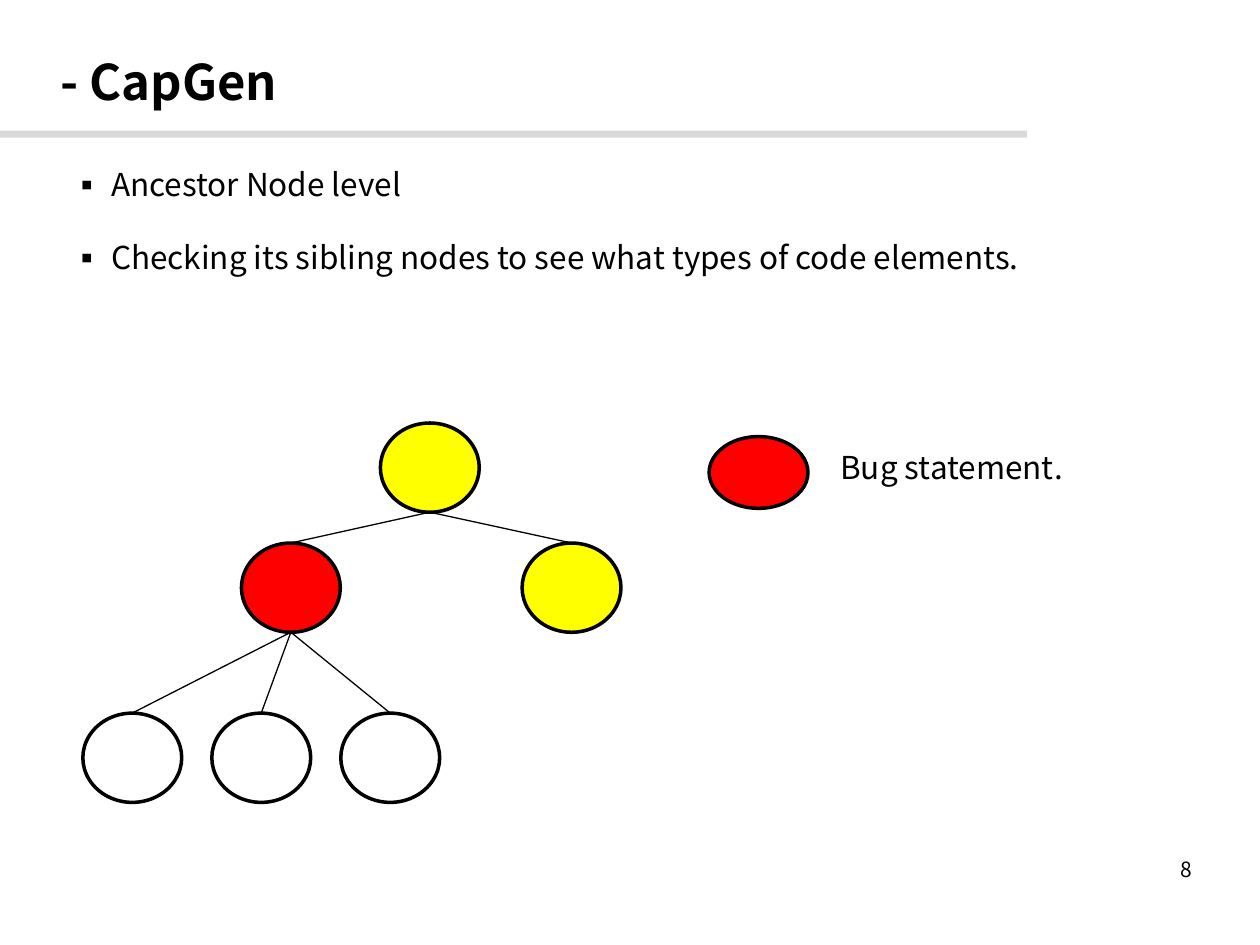
from pptx import Presentation
from pptx.dml.color import RGBColor
from pptx.enum.shapes import MSO_CONNECTOR, MSO_SHAPE
from pptx.enum.text import MSO_ANCHOR, PP_ALIGN
from pptx.util import Pt
from lxml.etree import SubElement
from pptx.oxml.ns import qn

FONT = "Noto Sans CJK KR"
COLORS = {"ink": "000000", "rule": "D9D9D9", "bug": "FF0000",
          "checked": "FFFF00", "plain": "FFFFFF"}

TITLE = "- CapGen"
POINTS = ["Ancestor Node level",
          "Checking its sibling nodes to see what types of code elements."]
LEGEND = "Bug statement."
PAGE = "8"

NODE_W, NODE_H = 56.5, 51
LEVEL_TOPS = [241.7, 310.3, 407.5]
LEAF_START, LEAF_STEP = 75.6, 73.7
NODES = {
    "ancestor": (245.6, 0, "checked"),
    "bug": (166.2, 1, "bug"),
    "sibling": (326.6, 1, "checked"),
}
LEAVES = ["leaf 1", "leaf 2", "leaf 3"]
for i, leaf in enumerate(LEAVES):
    NODES[leaf] = (LEAF_START + i * LEAF_STEP, 2, "plain")
EDGES = [("ancestor", "bug"), ("ancestor", "sibling")]
EDGES += [("bug", leaf) for leaf in LEAVES]


def rgb(name):
    return RGBColor.from_string(COLORS[name])


def place(shape, left, top, width, height):
    shape.left, shape.top = Pt(left), Pt(top)
    shape.width, shape.height = Pt(width), Pt(height)


def format_text(frame, size, align=PP_ALIGN.LEFT, anchor=MSO_ANCHOR.TOP, bold=False):
    frame.word_wrap = True
    frame.vertical_anchor = anchor
    frame.margin_left = frame.margin_right = Pt(3.6)
    frame.margin_top = frame.margin_bottom = Pt(3.6)
    for paragraph in frame.paragraphs:
        paragraph.alignment = align
        for run in paragraph.runs:
            run.font.name = FONT
            run.font.size = Pt(size)
            run.font.bold = bold
            run.font.color.rgb = rgb("ink")


def add_text(slide, box, text, size, **style):
    frame = slide.shapes.add_textbox(*map(Pt, box)).text_frame
    frame.text = text
    format_text(frame, size, **style)
    return frame


def add_filled(slide, kind, box, color, line_width=None):
    shape = slide.shapes.add_shape(kind, *map(Pt, box))
    shape.shadow.inherit = False
    shape.fill.solid()
    shape.fill.fore_color.rgb = rgb(color)
    if line_width:
        shape.line.color.rgb = rgb("ink")
        shape.line.width = Pt(line_width)
    else:
        shape.line.fill.background()


def add_edge(slide, parent, child):
    parent_x, parent_level, _ = NODES[parent]
    child_x, child_level, _ = NODES[child]
    edge = slide.shapes.add_connector(
        MSO_CONNECTOR.STRAIGHT,
        Pt(parent_x), Pt(LEVEL_TOPS[parent_level] + NODE_H),
        Pt(child_x), Pt(LEVEL_TOPS[child_level]))
    edge.line.color.rgb = rgb("ink")
    edge.line.width = Pt(0.75)
    SubElement(edge._element.spPr, qn("a:effectLst"))


def add_bullets(frame):
    for i, paragraph in enumerate(frame.paragraphs):
        properties = paragraph._p.get_or_add_pPr()
        properties.set("marL", str(Pt(22.5)))
        properties.set("indent", str(-Pt(22.5)))
        if i:
            paragraph.space_before = Pt(20.3)
        SubElement(properties, qn("a:buFont"), typeface=FONT)
        SubElement(properties, qn("a:buChar"), char="▪")


def main():
    deck = Presentation()
    deck.slide_width, deck.slide_height = Pt(720), Pt(540)
    slide = deck.slides.add_slide(deck.slide_layouts[5])

    add_filled(slide, MSO_SHAPE.RECTANGLE, (0, 74.7, 586.8, 4), "rule")
    title = slide.shapes.title
    place(title, 31, 0, 635.8, 92.2)
    title.text_frame.text = TITLE
    format_text(title.text_frame, 28, anchor=MSO_ANCHOR.MIDDLE, bold=True)

    add_text(slide, (517, 486, 167.8, 21.6), PAGE, 12,
             align=PP_ALIGN.RIGHT, anchor=MSO_ANCHOR.MIDDLE)
    add_bullets(add_text(slide, (37.4, 90.7, 651.6, 115.2), "\n".join(POINTS), 18))

    for center, level, color in NODES.values():
        box = (center - NODE_W / 2, LEVEL_TOPS[level], NODE_W, NODE_H)
        add_filled(slide, MSO_SHAPE.OVAL, box, color, 2)
    for parent, child in EDGES:
        add_edge(slide, parent, child)

    add_filled(slide, MSO_SHAPE.OVAL, (405.2, 249.5, 56.5, 41), "bug", 2)
    add_text(slide, (476.6, 252.7, 144, 28.8), LEGEND, 18)

    deck.save("out.pptx")


if __name__ == "__main__":
    main()
